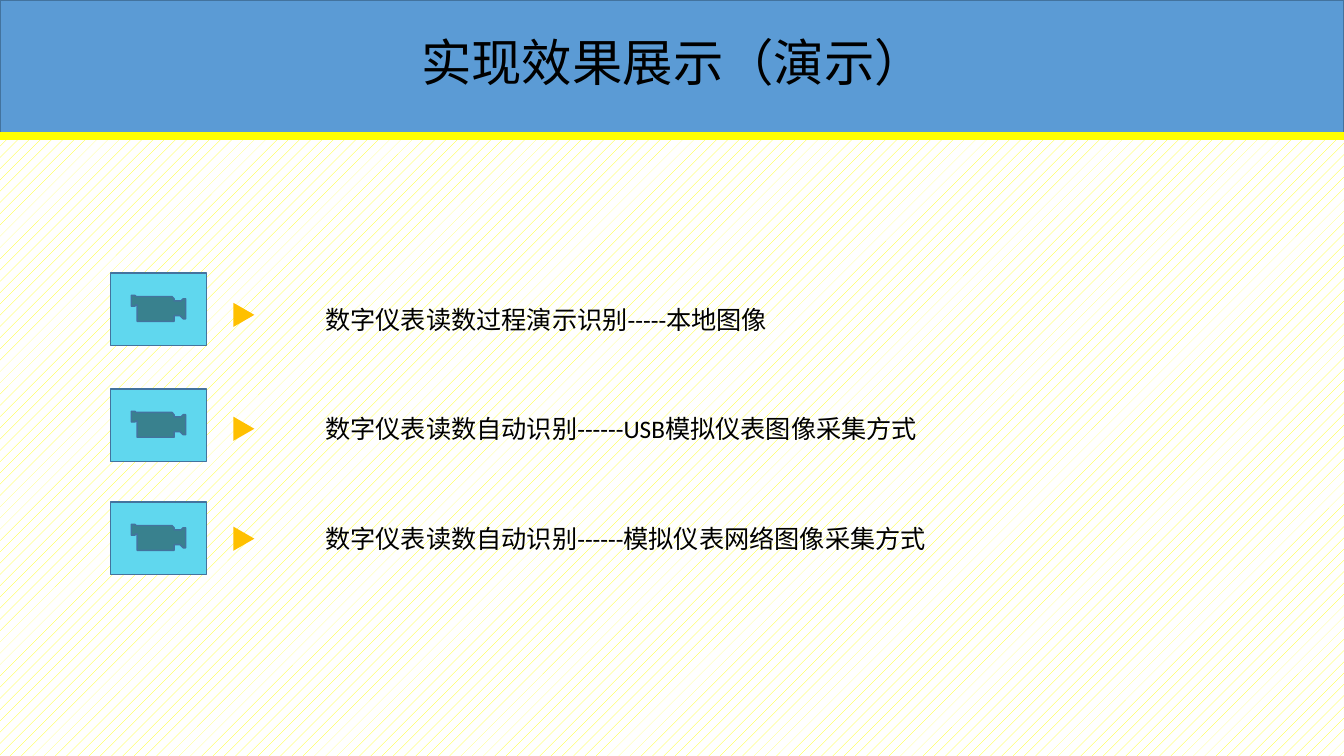
from lxml.etree import SubElement
from pptx import Presentation
from pptx.dml.color import RGBColor
from pptx.enum.dml import MSO_PATTERN as Pattern
from pptx.enum.shapes import MSO_CONNECTOR as Link, MSO_SHAPE as Shape
from pptx.enum.text import MSO_ANCHOR as Anchor, PP_ALIGN as Align
from pptx.oxml.ns import qn
from pptx.util import Cm, Pt

color = RGBColor.from_string


def add_block(kind, left, top, width, height, fill, edge=None):
    """Add a flat preset shape; lengths are in centimetres."""
    block = shapes.add_shape(kind, Cm(left), Cm(top), Cm(width), Cm(height))
    block.shadow.inherit = False
    block.fill.solid()
    block.fill.fore_color.rgb = color(fill)
    if edge:
        block.line.color.rgb = color(edge)
        block.line.width = Pt(1)
    else:
        block.line.fill.background()
    return block


def set_text(box, words, size):
    frame = box.text_frame
    frame.word_wrap = True
    frame.text = words
    line = frame.paragraphs[0]
    line.alignment = Align.LEFT
    line.font.name = "Calibri"
    line.font.size = Pt(size)
    line.font.color.rgb = color("000000")
    return frame


deck = Presentation()
deck.slide_width, deck.slide_height = Cm(33.87), Cm(19.05)
slide = deck.slides.add_slide(deck.slide_layouts[5])
shapes = slide.shapes

back = slide.background.fill
back.patterned()
back.pattern = Pattern.PERCENT_10
back.fore_color.rgb = color("FFFF00")
back.back_color.rgb = color("FFFFFF")

# Header band, rule and title
add_block(Shape.RECTANGLE, 0, 0, 33.87, 3.43, "5B9BD5", "43739E")
rule = shapes.add_connector(Link.STRAIGHT, 0, Cm(3.43), Cm(33.87), Cm(3.43))
rule.line.color.rgb = color("FFFF00")
rule.line.width = Pt(6)
SubElement(rule.element.spPr, qn("a:effectLst"))

title = shapes.title
title.left, title.top, title.width, title.height = Cm(10.36), Cm(0.81), Cm(13.34), Cm(1.65)
head = set_text(title, "实现效果展示（演示）", 36)
head.vertical_anchor = Anchor.MIDDLE
head.paragraphs[0].line_spacing = 0.9
title.element.getparent().append(title.element)  # in front of the band

# Demo rows: tops of button, arrow and label, then label width and words
rows = [
    (6.88, 7.67, 7.54, 11.76, "数字仪表读数过程演示识别-----本地图像"),
    (9.8, 10.54, 10.29, 15.57, "数字仪表读数自动识别------USB模拟仪表图像采集方式"),
    (12.65, 13.31, 13.06, 15.8, "数字仪表读数自动识别------模拟仪表网络图像采集方式"),
]
for button, arrow, label, width, words in rows:
    add_block(Shape.ACTION_BUTTON_MOVIE, 2.79, button, 2.41, 1.83, "60D7EE", "43739E")
    add_block(Shape.ISOSCELES_TRIANGLE, 5.84, arrow, 0.61, 0.53, "FFC000").rotation = 90
    box = shapes.add_textbox(Cm(7.95), Cm(label), Cm(width), Cm(1.02))
    set_text(box, words, 18)

deck.save("out.pptx")
